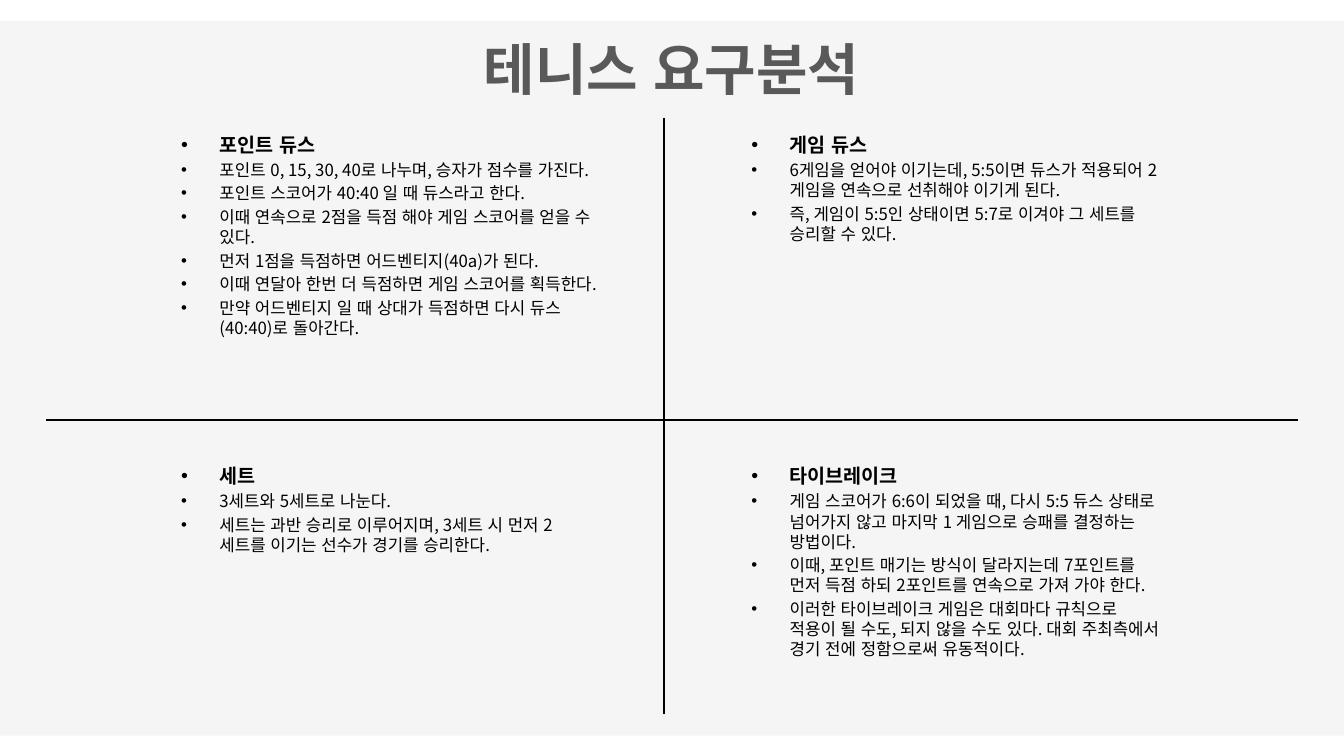
"""Build the tennis requirements slide with four rule quadrants."""
from dataclasses import dataclass

import lxml.etree
import pptx
import pptx.dml.color
import pptx.enum.lang
import pptx.enum.shapes
import pptx.enum.text
import pptx.oxml.ns
import pptx.util

SLIDE_WIDTH = pptx.util.Inches(13.34)
SLIDE_HEIGHT = pptx.util.Inches(7.5)
FONT = "Noto Sans CJK KR"
BLACK = pptx.dml.color.RGBColor(0x00, 0x00, 0x00)
TITLE_GRAY = pptx.dml.color.RGBColor(0x59, 0x59, 0x59)
PANEL_GRAY = pptx.dml.color.RGBColor(0xF5, 0xF5, 0xF5)
BULLET_INDENT = pptx.util.Inches(0.38)


@dataclass(frozen=True)
class Area:
    """A rectangle in percent of the slide's width and height."""

    left: float
    top: float
    width: float
    height: float


@dataclass(frozen=True)
class TextStyle:
    """Size and line pitch in points, with weight and colour."""

    size: float
    line_pitch: float
    bold: bool
    color: pptx.dml.color.RGBColor


@dataclass(frozen=True)
class Quadrant:
    """One topic of the grid with its rules."""

    column: int
    row: int
    heading: str
    rules: tuple[str, ...]


@dataclass(frozen=True)
class Divider:
    """A straight line between two points in percent of the slide."""

    start: tuple[float, float]
    end: tuple[float, float]


PANEL = Area(0, 2.8, 100, 94.53)
TITLE = Area(34.86, 3.33, 30.21, 7.33)
COLUMN_LEFTS = (12.74, 55.17)
ROW_TOPS = (16.67, 60.53)
QUADRANT_WIDTH = 32.23
QUADRANT_HEIGHT = 33.87

TITLE_STYLE = TextStyle(40, 51.5, True, TITLE_GRAY)
HEADING_STYLE = TextStyle(14, 18, True, BLACK)
RULE_STYLE = TextStyle(12, 14.4, False, BLACK)

QUADRANTS = (
    Quadrant(0, 0, "포인트 듀스", (
        "포인트 0, 15, 30, 40로 나누며, 승자가 점수를 가진다.",
        "포인트 스코어가 40:40 일 때 듀스라고 한다.",
        "이때 연속으로 2점을 득점 해야 게임 스코어를 얻을 수 있다.",
        "먼저 1점을 득점하면 어드벤티지(40a)가 된다.",
        "이때 연달아 한번 더 득점하면 게임 스코어를 획득한다.",
        "만약 어드벤티지 일 때 상대가 득점하면 다시 듀스(40:40)로 돌아간다.",
    )),
    Quadrant(1, 0, "게임 듀스", (
        "6게임을 얻어야 이기는데, 5:5이면 듀스가 적용되어 2게임을 연속으로 선취해야 이기게 된다.",
        "즉, 게임이 5:5인 상태이면 5:7로 이겨야 그 세트를 승리할 수 있다.",
    )),
    Quadrant(0, 1, "세트", (
        "3세트와 5세트로 나눈다.",
        "세트는 과반 승리로 이루어지며, 3세트 시 먼저 2세트를 이기는 선수가 경기를 승리한다.",
    )),
    Quadrant(1, 1, "타이브레이크", (
        "게임 스코어가 6:6이 되었을 때, 다시 5:5 듀스 상태로 넘어가지 않고 마지막 1 게임으로 승패를 결정하는 방법이다.",
        "이때, 포인트 매기는 방식이 달라지는데 7포인트를 먼저 득점 하되 2포인트를 연속으로 가져 가야 한다.",
        "이러한 타이브레이크 게임은 대회마다 규칙으로 적용이 될 수도, 되지 않을 수도 있다. "
        "대회 주최측에서 경기 전에 정함으로써 유동적이다.",
    )),
)
DIVIDERS = (
    Divider((49.4, 15.6), (49.4, 94.4)),
    Divider((3.45, 55.6), (96.55, 55.6)),
)


def across(percent: float) -> int:
    """Return a share of the slide's width."""
    return round(SLIDE_WIDTH * percent / 100)


def down(percent: float) -> int:
    """Return a share of the slide's height."""
    return round(SLIDE_HEIGHT * percent / 100)


def bounds(area: Area) -> tuple[int, int, int, int]:
    """Return left, top, width and height of an area."""
    return across(area.left), down(area.top), across(area.width), down(area.height)


def add_panel(slide: pptx.slide.Slide) -> None:
    """Draw the gray panel behind the content."""
    panel = slide.shapes.add_shape(
        pptx.enum.shapes.MSO_SHAPE.RECTANGLE, *bounds(PANEL))
    panel.shadow.inherit = False
    panel.fill.solid()
    panel.fill.fore_color.rgb = PANEL_GRAY
    panel.line.fill.background()


def write_text(paragraph: pptx.text.text._Paragraph, text: str, style: TextStyle) -> None:
    """Fill a paragraph and format its runs."""
    paragraph.text = text
    paragraph.line_spacing = pptx.util.Pt(style.line_pitch)
    for run in paragraph.runs:
        run.font.name = FONT
        run.font.size = pptx.util.Pt(style.size)
        run.font.bold = style.bold
        run.font.color.rgb = style.color
        run.font.language_id = pptx.enum.lang.MSO_LANGUAGE_ID.KOREAN
        lxml.etree.SubElement(
            run._r.get_or_add_rPr(), pptx.oxml.ns.qn("a:ea"), typeface=FONT)


def add_bullet(paragraph: pptx.text.text._Paragraph) -> None:
    """Give a paragraph a round bullet with a hanging indent."""
    properties = paragraph._p.get_or_add_pPr()
    properties.set("marL", str(BULLET_INDENT))
    properties.set("indent", str(-BULLET_INDENT))
    lxml.etree.SubElement(properties, pptx.oxml.ns.qn("a:buFont"), typeface="Arial")
    lxml.etree.SubElement(properties, pptx.oxml.ns.qn("a:buChar"), char="•")


def add_title(slide: pptx.slide.Slide) -> None:
    """Write the centred slide title."""
    text_frame = slide.shapes.add_textbox(*bounds(TITLE)).text_frame
    text_frame.word_wrap = True
    paragraph = text_frame.paragraphs[0]
    write_text(paragraph, "테니스 요구분석", TITLE_STYLE)
    paragraph.alignment = pptx.enum.text.PP_ALIGN.CENTER


def add_quadrant(slide: pptx.slide.Slide, quadrant: Quadrant) -> None:
    """Write a heading and its rules as a bulleted list."""
    area = Area(COLUMN_LEFTS[quadrant.column], ROW_TOPS[quadrant.row],
                QUADRANT_WIDTH, QUADRANT_HEIGHT)
    text_frame = slide.shapes.add_textbox(*bounds(area)).text_frame
    text_frame.word_wrap = True
    heading = text_frame.paragraphs[0]
    add_bullet(heading)
    write_text(heading, quadrant.heading, HEADING_STYLE)
    for rule in quadrant.rules:
        paragraph = text_frame.add_paragraph()
        add_bullet(paragraph)
        write_text(paragraph, rule, RULE_STYLE)
        paragraph.space_before = pptx.util.Pt(2.4)


def add_divider(slide: pptx.slide.Slide, divider: Divider) -> None:
    """Draw a line that separates the quadrants."""
    connector = slide.shapes.add_connector(
        pptx.enum.shapes.MSO_CONNECTOR.STRAIGHT,
        across(divider.start[0]), down(divider.start[1]),
        across(divider.end[0]), down(divider.end[1]))
    connector.line.color.rgb = BLACK
    connector.line.width = pptx.util.Pt(1.5)
    lxml.etree.SubElement(connector._element.spPr, pptx.oxml.ns.qn("a:effectLst"))


def main() -> None:
    """Build and save the presentation."""
    presentation = pptx.Presentation()
    presentation.slide_width = SLIDE_WIDTH
    presentation.slide_height = SLIDE_HEIGHT
    slide = presentation.slides.add_slide(presentation.slide_layouts[6])
    add_panel(slide)
    add_title(slide)
    for quadrant in QUADRANTS:
        add_quadrant(slide, quadrant)
    for divider in DIVIDERS:
        add_divider(slide, divider)
    presentation.save("out.pptx")


if __name__ == "__main__":
    main()
